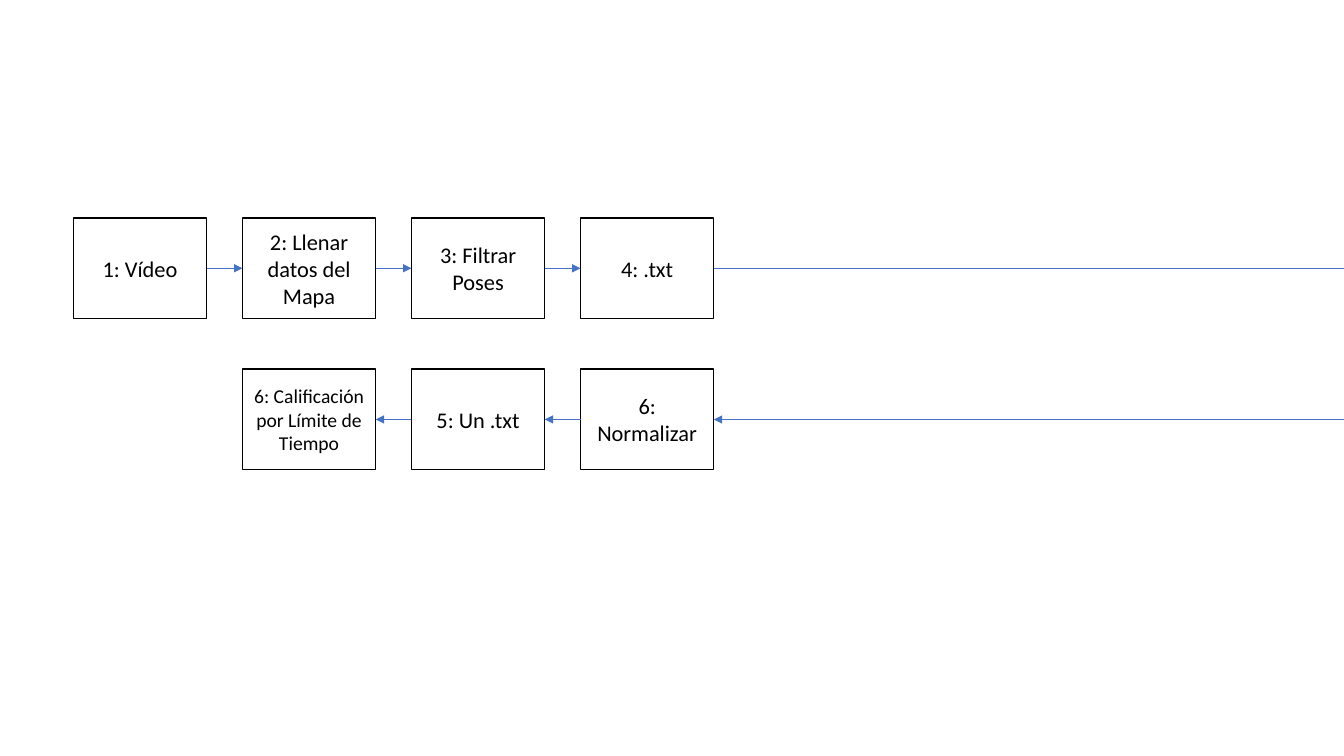
from itertools import pairwise

from lxml.etree import SubElement
from pptx import Presentation
from pptx.dml.color import RGBColor
from pptx.enum.shapes import MSO_CONNECTOR, MSO_SHAPE
from pptx.enum.text import MSO_ANCHOR, PP_ALIGN
from pptx.oxml.ns import qn
from pptx.util import Cm, Pt

STEP_W, STEP_H, PITCH = 3.36, 2.54, 4.26
LEFT_SITE, RIGHT_SITE = 1, 3
SLIDE_W, SLIDE_H = 33.87, 19.05


def color(value):
    return RGBColor.from_string(value)


def add_step(slide, left, top, label, size):
    step = slide.shapes.add_shape(
        MSO_SHAPE.RECTANGLE, Cm(left), Cm(top), Cm(STEP_W), Cm(STEP_H))
    step.shadow.inherit = False
    step.fill.solid()
    step.fill.fore_color.rgb = color("FFFFFF")
    step.line.color.rgb = color("000000")
    step.line.width = Pt(1)
    frame = step.text_frame
    frame.word_wrap = True
    frame.vertical_anchor = MSO_ANCHOR.MIDDLE
    paragraph = frame.paragraphs[0]
    paragraph.alignment = PP_ALIGN.CENTER
    run = paragraph.add_run()
    run.text = label
    run.font.name = "Calibri"
    run.font.size = Pt(size)
    run.font.color.rgb = color("000000")
    return step


def add_flow(slide, start, end, arrow=True):
    flow = slide.shapes.add_connector(MSO_CONNECTOR.STRAIGHT, *start, *end)
    flow.line.color.rgb = color("4472C4")
    flow.line.width = Pt(0.5)
    if arrow:
        SubElement(flow.line._get_or_add_ln(), qn("a:tailEnd"), type="triangle")
    SubElement(flow._element.spPr, qn("a:effectLst"))
    return flow


def middle_right(step):
    return step.left + step.width, step.top + step.height // 2


def add_row(slide, left, top, labels, leftward=False):
    """Place equally spaced steps and join neighbours; return the last step."""
    steps = [add_step(slide, left + i * PITCH, top, label, size)
             for i, (label, size) in enumerate(labels)]
    for near, far in pairwise(steps):
        ends = [(near, RIGHT_SITE), (far, LEFT_SITE)]
        if leftward:
            ends.reverse()
        flow = add_flow(slide, (0, 0), (0, 0))
        flow.begin_connect(*ends[0])
        flow.end_connect(*ends[1])
    return steps[-1]


def add_process(slide, left, top):
    # Upper row runs right, lower row runs back left
    text_file = add_row(slide, left, top, [
        ("1: Vídeo", 16), ("2: Llenar datos del Mapa", 16),
        ("3: Filtrar Poses", 16), ("4: .txt", 16)])
    normalize = add_row(slide, left + PITCH, top + 1.5 * STEP_H, [
        ("6: Calificación por Límite de Tiempo", 14),
        ("5: Un .txt", 16), ("6: Normalizar", 16)], leftward=True)

    # Flow that leaves at the slide edge and returns one row lower
    exit_start, return_end = middle_right(text_file), middle_right(normalize)
    add_flow(slide, exit_start, (Cm(SLIDE_W), exit_start[1]), arrow=False)
    add_flow(slide, (Cm(SLIDE_W), return_end[1]), return_end)


deck = Presentation()
deck.slide_width, deck.slide_height = Cm(SLIDE_W), Cm(SLIDE_H)
process_slide = deck.slides.add_slide(deck.slide_layouts[6])
add_process(process_slide, 1.85, 5.49)
deck.save("out.pptx")
